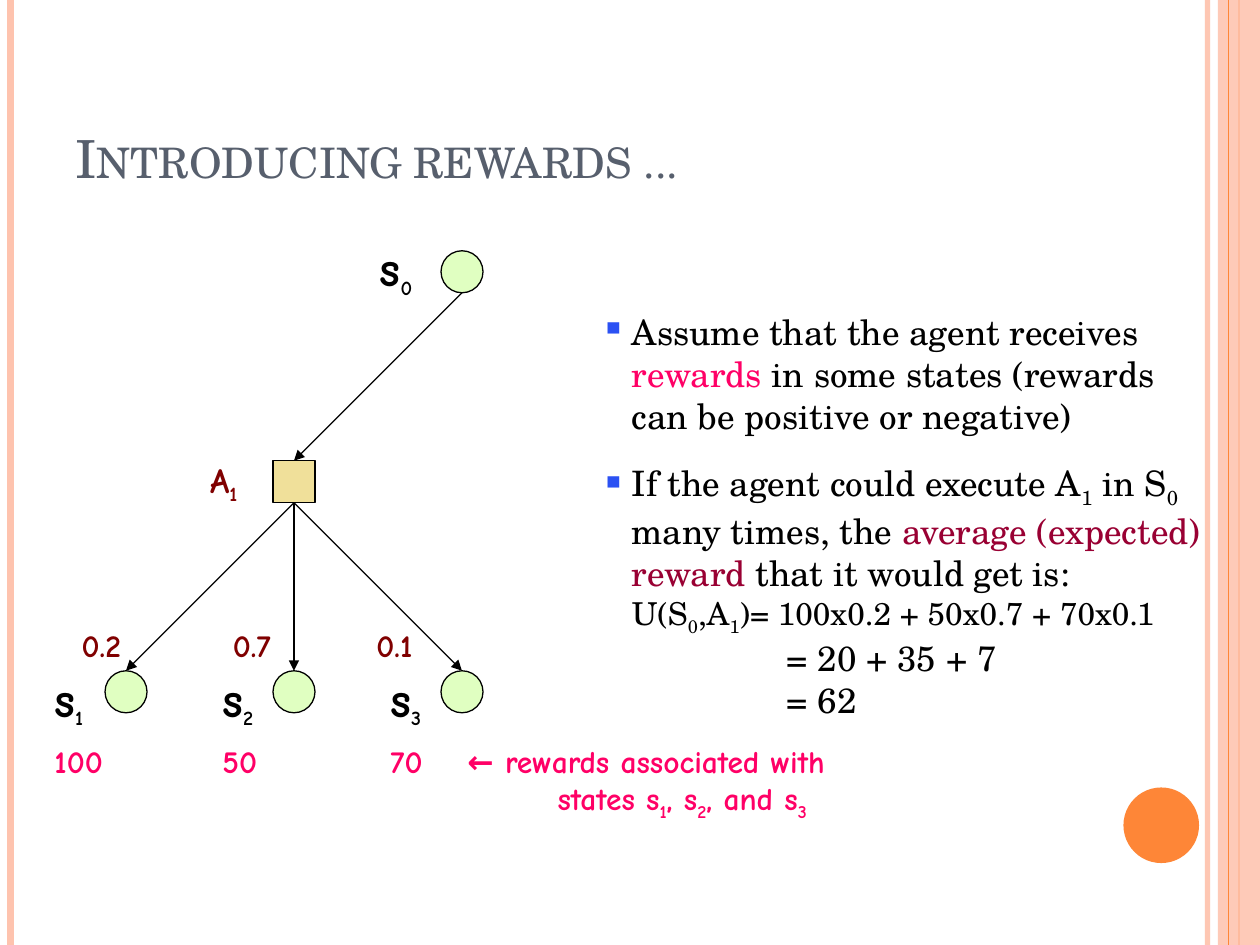
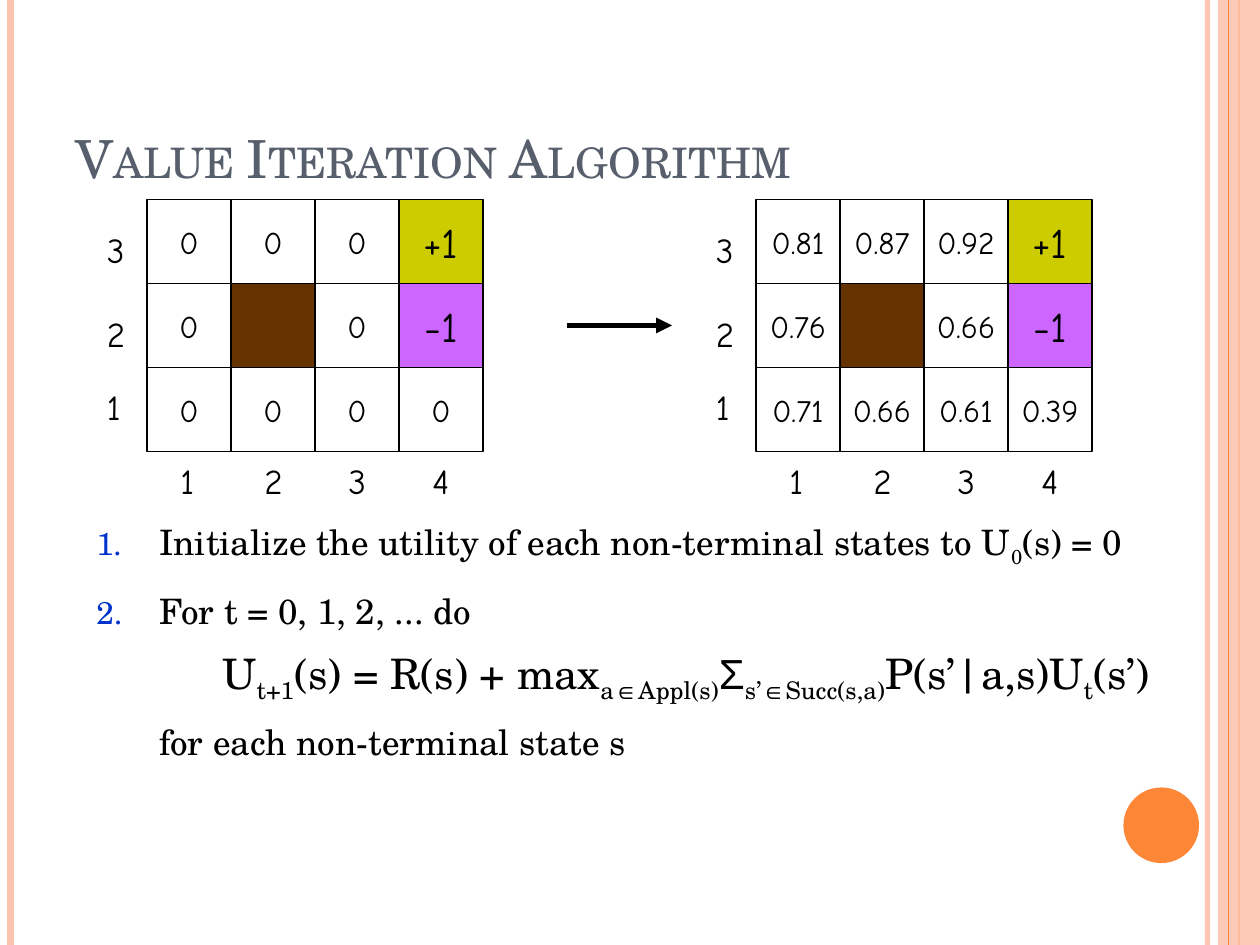
from dataclasses import dataclass

from lxml import etree
from pptx import Presentation
from pptx.dml.color import RGBColor
from pptx.enum.shapes import MSO_CONNECTOR, MSO_SHAPE
from pptx.enum.text import MSO_ANCHOR, PP_ALIGN
from pptx.oxml.ns import qn
from pptx.util import Pt

STRAIGHT = MSO_CONNECTOR.STRAIGHT
RECT, OVAL = MSO_SHAPE.RECTANGLE, MSO_SHAPE.OVAL
TOP, MIDDLE, BOTTOM = MSO_ANCHOR.TOP, MSO_ANCHOR.MIDDLE, MSO_ANCHOR.BOTTOM
CENTER = PP_ALIGN.CENTER
SIDE_TOP, SIDE_BOTTOM = 0, 2


@dataclass(frozen=True)
class Theme:
    serif: str = "TeX Gyre Schola"
    comic: str = "Comic Neue"
    symbol: str = "Arial"
    black: str = "000000"
    white: str = "FFFFFF"
    title: str = "575F6D"
    peach: str = "FEC3AE"
    orange: str = "FE8637"
    pink: str = "FF0066"
    crimson: str = "990033"
    maroon: str = "800000"
    state: str = "E0FFC1"
    action: str = "F0E09A"
    bullet: str = "2B51F3"
    number: str = "0033CC"
    wall: str = "663300"
    goal: str = "CCCC00"
    trap: str = "CC66FF"
    title_size: int = 30
    state_size: int = 28
    large: int = 24
    body: int = 20
    small: int = 18
    hairline: float = 0.75


T = Theme()
SLIDE_W, SLIDE_H = 720, 540
CELL = 48
NODE = 24


def sub_element(parent, tag, **attrs):
    return etree.SubElement(parent, qn(tag), attrs)


def set_alpha(fill, percent):
    color = next(fill.iter(qn("a:srgbClr")))
    sub_element(color, "a:alpha", val=str(percent * 1000))


def write(tf, text, left=0, hang=0, before=0, align=None, bullet=None,
          bullet_color=None, numbered=False, **fmt):
    """Add a paragraph; text is a string or a list of (string, format) pairs."""
    p = tf.paragraphs[0]
    if p.runs:
        p = tf.add_paragraph()
    p.space_before = Pt(before)
    if align is not None:
        p.alignment = align
    pPr = p._p.get_or_add_pPr()
    pPr.set("marL", str(Pt(left)))
    pPr.set("indent", str(-Pt(hang)))
    if bullet or numbered:
        sub_element(sub_element(pPr, "a:buClr"), "a:srgbClr", val=bullet_color)
    if numbered:
        sub_element(pPr, "a:buSzPct", val="90000")
        sub_element(pPr, "a:buAutoNum", type="arabicPeriod")
    elif bullet:
        sub_element(pPr, "a:buChar", char=bullet)
    pairs = [(text, {})] if isinstance(text, str) else text
    for part, override in pairs:
        add_runs(p, part, **{**fmt, **override})


def add_runs(p, text, font=T.serif, size=T.body, color=T.black, bold=False,
             small_caps=False, sub_size=None):
    """Add runs to a paragraph; what stands between tildes is a subscript."""
    for i, piece in enumerate(text.split("~")):
        if not piece:
            continue
        r = p.add_run()
        r.text = piece
        is_sub = i % 2 == 1
        r.font.name = font
        r.font.size = Pt(sub_size if is_sub and sub_size else size)
        r.font.bold = bold
        r.font.color.rgb = RGBColor.from_string(color)
        rPr = r._r.get_or_add_rPr()
        if is_sub:
            rPr.set("baseline", "-25000")
        if small_caps:
            rPr.set("cap", "small")


def text_box(s, x, y, w, h, anchor=TOP):
    tf = s.shapes.add_textbox(Pt(x), Pt(y), Pt(w), Pt(h)).text_frame
    tf.word_wrap = True
    tf.vertical_anchor = anchor
    return tf


def label(s, x, y, text, w=60, **fmt):
    write(text_box(s, x, y, w, 30), text, font=T.comic, **fmt)


def shape(s, kind, x, y, w, h, fill, line=T.black):
    sp = s.shapes.add_shape(kind, Pt(x), Pt(y), Pt(w), Pt(h))
    sp.shadow.inherit = False
    sp.fill.solid()
    sp.fill.fore_color.rgb = RGBColor.from_string(fill)
    if line:
        sp.line.color.rgb = RGBColor.from_string(line)
        sp.line.width = Pt(T.hairline)
    else:
        sp.line.fill.background()
    return sp


def connect(s, x1, y1, x2, y2, color=T.black, width=T.hairline, arrow=False):
    c = s.shapes.add_connector(STRAIGHT, Pt(x1), Pt(y1), Pt(x2), Pt(y2))
    c.line.color.rgb = RGBColor.from_string(color)
    c.line.width = Pt(width)
    if arrow:
        sub_element(c.line._get_or_add_ln(), "a:tailEnd", type="triangle")
    sub_element(c._element.spPr, "a:effectLst")
    return c


def frame(s):
    """Draw the bands, the disc and the rules along the slide's edges."""
    edge = connect(s, 690, 0, 690, SLIDE_H, T.peach, 3)
    set_alpha(edge._element.spPr, 93)
    connect(s, 6, 0, 6, SLIDE_H, T.peach, 4.5)
    connect(s, 708, 0, 708, SLIDE_H, T.orange, 1.5)
    band = shape(s, RECT, 696, 0, SLIDE_W - 696, SLIDE_H, T.peach, None)
    set_alpha(band._element.spPr, 87)
    connect(s, 702, 0, 702, SLIDE_H, T.orange)
    shape(s, OVAL, 642, 450, 43.2, 43.2, T.orange, None)


def new_slide(prs, title):
    s = prs.slides.add_slide(prs.slide_layouts[6])
    frame(s)
    write(text_box(s, 36, 21.6, 588, 90, BOTTOM), title,
          size=T.title_size, color=T.title, small_caps=True)
    return s


def decision_tree(s, x, y):
    """Draw state s0, action A1 and its outcomes; x, y is the top left node."""
    step_x, step_y = 96, 120
    action_x, action_y = x + step_x, y + step_y
    root_x, leaf_y = x + 2 * step_x, y + 2 * step_y
    state = dict(size=T.state_size, sub_size=T.body, bold=True)
    chance = dict(size=T.small, color=T.maroon, bold=True)
    reward = dict(size=T.small, color=T.pink, bold=True)

    shape(s, OVAL, root_x, y, NODE, NODE, T.state)
    label(s, root_x - 42, y - 11, "s~0~", **state)
    action = shape(s, RECT, action_x, action_y, NODE, NODE, T.action)
    label(s, action_x - 43, action_y - 5, "A~1~", color=T.maroon, bold=True)
    mid = NODE / 2
    c = connect(s, root_x + mid, y + NODE, action_x + mid, action_y, arrow=True)
    c.end_connect(action, SIDE_TOP)

    outcomes = [("0.2", -20.4, "100"), ("0.7", -30, "50"), ("0.1", -44, "70")]
    for i, (probability, dx, value) in enumerate(outcomes):
        leaf_x = x + i * step_x
        leaf = shape(s, OVAL, leaf_x, leaf_y, NODE, NODE, T.state)
        c = connect(s, action_x + mid, action_y + NODE, leaf_x + mid, leaf_y,
                    arrow=True)
        c.begin_connect(action, SIDE_BOTTOM)
        c.end_connect(leaf, SIDE_TOP)
        label(s, leaf_x - 36, leaf_y - 5, f"s~{i + 1}~", **state)
        label(s, leaf_x + dx, leaf_y - 29, probability, **chance)
        label(s, leaf_x - 36, leaf_y + 37, value, **reward)

    tf = text_box(s, root_x + 8, leaf_y + 37, 250, 50)
    write(tf, "← rewards associated with", font=T.comic, **reward)
    write(tf, "states s~1~, s~2~, and s~3~", left=51.5, font=T.comic, **reward)


def expected_reward(s, x, y, w, h):
    tf = text_box(s, x, y, w, h)
    item = dict(left=18, hang=18, bullet="▪", bullet_color=T.bullet)
    write(tf, [("Assume that the agent receives ", {}),
               ("rewards", {"color": T.pink}),
               (" in some states (rewards can be positive or negative)", {})],
          **item)
    write(tf, [("If the agent could execute A~1~ in S~0~ many times, the ", {}),
               ("average (expected) reward", {"color": T.crimson}),
               (" that it would get is:", {})], before=14.4, **item)
    write(tf, "U(S~0~,A~1~)= 100x0.2 + 50x0.7 + 70x0.1", left=18, size=T.small)
    for result in ("= 20 + 35 + 7", "= 62"):
        write(tf, result, left=106.5)


def grid_world(s, x, y, values):
    """Draw utilities by row from the top; None marks the wall."""
    special = {"+1": T.goal, "-1": T.trap, None: T.wall}
    for row, row_values in enumerate(values):
        for col, value in enumerate(row_values):
            sp = shape(s, RECT, x + col * CELL, y + row * CELL, CELL, CELL,
                       special.get(value, T.white))
            if value is None:
                continue
            tf = sp.text_frame
            tf.word_wrap = False
            tf.vertical_anchor = MIDDLE
            write(tf, value, align=CENTER, font=T.comic,
                  size=T.large if value in special else T.small)
    for number, dy in zip("321", (13, 61, 103)):
        label(s, x - 30, y + dy, number, w=30)
    for col in range(len(values[0])):
        label(s, x + 12 + col * CELL, y + 145, str(col + 1), w=30)


def algorithm_steps(s, x, y, w, h):
    tf = text_box(s, x, y, w, h)
    step = dict(left=36, hang=36, numbered=True, bullet_color=T.number)
    write(tf, "Initialize the utility of each non-terminal states to "
              "U~0~(s) = 0", **step)
    write(tf, "For t = 0, 1, 2, ... do", before=12, **step)
    write(tf, [("U~t+1~(s) = R(s) + max~a∈Appl(s)~", {}),
               ("Σ", {"font": T.symbol}),
               ("~s’∈Succ(s,a)~P(s’|a,s)U~t~(s’)", {})],
          left=72, before=9, size=T.large)
    write(tf, "for each non-terminal state s", left=36, before=9)


def rewards_slide(prs):
    s = new_slide(prs, "Introducing rewards ...")
    decision_tree(s, 60, 143.3)
    expected_reward(s, 336, 174, 366, 238)


def value_iteration_slide(prs):
    s = new_slide(prs, "Value Iteration Algorithm")
    grid_world(s, 84, 114, [["0", "0", "0", "+1"],
                            ["0", None, "0", "-1"],
                            ["0", "0", "0", "0"]])
    connect(s, 324, 186, 384, 186, width=3, arrow=True)
    grid_world(s, 432, 114, [["0.81", "0.87", "0.92", "+1"],
                             ["0.76", None, "0.66", "-1"],
                             ["0.71", "0.66", "0.61", "0.39"]])
    algorithm_steps(s, 48, 294, 654, 139)


def main():
    prs = Presentation()
    prs.slide_width, prs.slide_height = Pt(SLIDE_W), Pt(SLIDE_H)
    rewards_slide(prs)
    value_iteration_slide(prs)
    prs.save("out.pptx")


if __name__ == "__main__":
    main()
